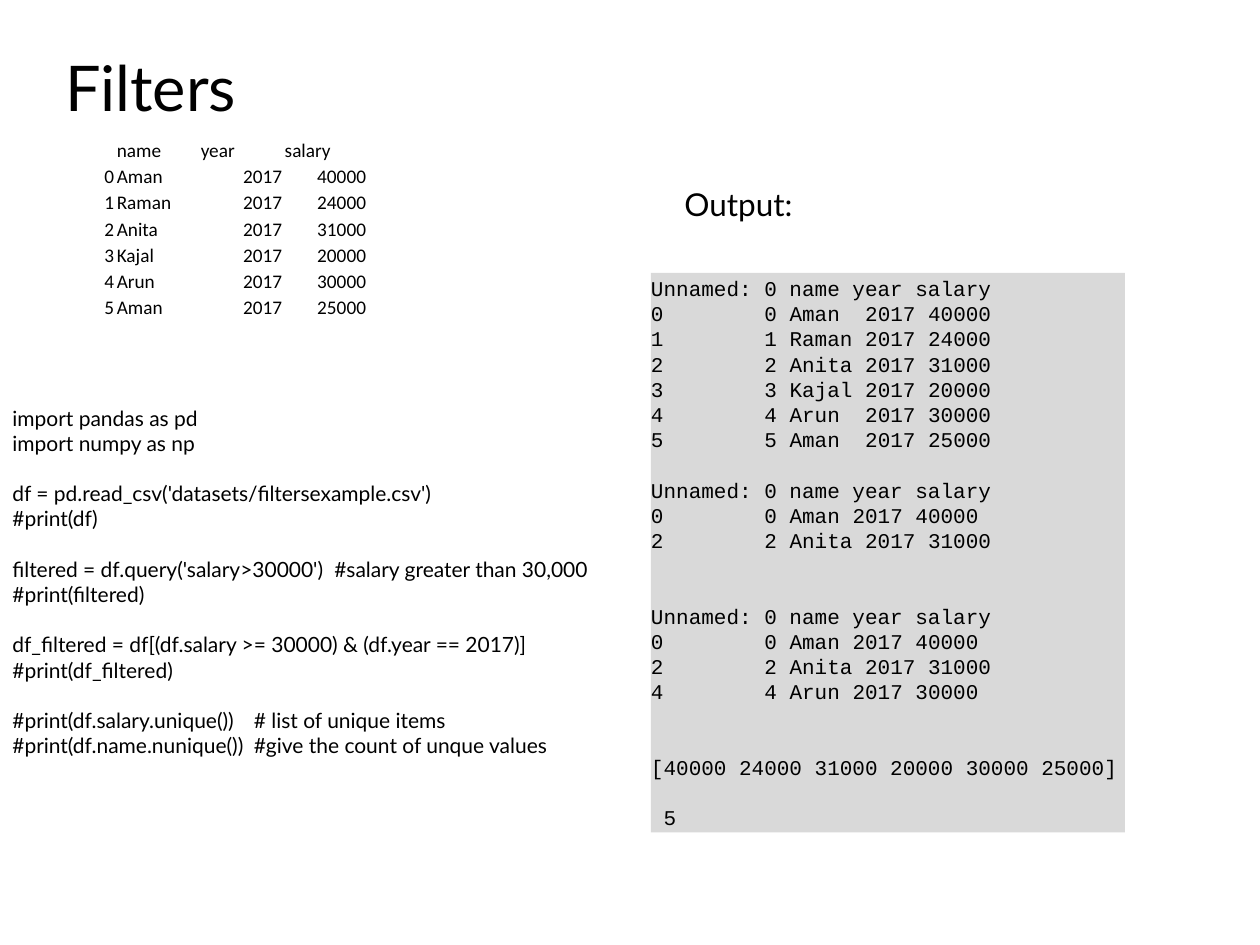
from lxml import etree
from pptx import Presentation
from pptx.dml.color import RGBColor
from pptx.enum.shapes import MSO_SHAPE
from pptx.enum.text import MSO_ANCHOR, MSO_AUTO_SIZE, PP_ALIGN
from pptx.oxml.ns import qn
from pptx.util import Pt

RECTANGLE = MSO_SHAPE.RECTANGLE
TOP, MIDDLE, BOTTOM = MSO_ANCHOR.TOP, MSO_ANCHOR.MIDDLE, MSO_ANCHOR.BOTTOM
LEFT, RIGHT = PP_ALIGN.LEFT, PP_ALIGN.RIGHT
NO_AUTOFIT = MSO_AUTO_SIZE.NONE

COLORS = {"text": "000000", "panel": "D9D9D9"}
LINE = 14.4

SALARY_ROWS = [
    ("", "name", "year", "salary", ""),
    ("0", "Aman", "2017", "40000", ""),
    ("1", "Raman", "2017", "24000", ""),
    ("2", "Anita", "2017", "31000", ""),
    ("3", "Kajal", "2017", "20000", ""),
    ("4", "Arun", "2017", "30000", ""),
    ("5", "Aman", "2017", "25000", ""),
]

# Each group: blank space above in lines, then its lines
CODE = [
    (0, ["import pandas as pd", "import numpy as np"]),
    (1, ["df = pd.read_csv('datasets/filtersexample.csv')", "#print(df)"]),
    (1, ["filtered = df.query('salary>30000')\t#salary greater than 30,000",
         "#print(filtered)"]),
    (1, ["df_filtered = df[(df.salary >= 30000) & (df.year == 2017)]",
         "#print(df_filtered)"]),
    (1, ["#print(df.salary.unique())\t# list of unique items",
         "#print(df.name.nunique())\t#give the count of unque values"]),
]
CODE_TABS = (138, 184)

OUTPUT_HEADER = "Unnamed: 0 name year salary"
OUTPUT = [
    (0, [OUTPUT_HEADER, "0\t0 Aman\t2017 40000", "1\t1 Raman\t2017 24000",
         "2\t2 Anita\t2017 31000", "3\t3 Kajal\t2017 20000",
         "4\t4 Arun\t2017 30000", "5\t5 Aman\t2017 25000"]),
    (1, [OUTPUT_HEADER, "0\t0 Aman 2017 40000", "2\t2 Anita 2017 31000"]),
    (2, [OUTPUT_HEADER, "0\t0 Aman 2017 40000", "2\t2 Anita 2017 31000",
         "4\t4 Arun 2017 30000"]),
    (2, ["[40000 24000 31000 20000 30000 25000]"]),
    (1, [" 5"]),
]
OUTPUT_TABS = (64.8, 122.4)


def add_span(para, text, font, size):
    span = para.add_run()
    span.text = text
    span.font.name = font
    span.font.size = Pt(size)
    span.font.color.rgb = RGBColor.from_string(COLORS["text"])


def set_tabs(para, stops):
    tab_list = etree.SubElement(para._p.get_or_add_pPr(), qn("a:tabLst"))
    for stop in stops:
        etree.SubElement(tab_list, qn("a:tab"), pos=str(Pt(stop)), algn="l")


def fill_groups(frame, groups, font, stops):
    """Write line groups, with the blank lines above each as paragraph spacing."""
    para = None
    for blank_lines, lines in groups:
        for index, line in enumerate(lines):
            para = frame.add_paragraph() if para else frame.paragraphs[0]
            para.alignment = LEFT
            para.line_spacing = Pt(LINE)
            para.space_before = Pt(0 if index else blank_lines * LINE)
            if "\t" in line:
                set_tabs(para, stops)
            add_span(para, line, font, 12)


def add_text_box(page, left, top, width, height):
    frame = page.shapes.add_textbox(Pt(left), Pt(top), Pt(width), Pt(height)).text_frame
    frame.word_wrap = True
    return frame


def add_title(page, text):
    title = page.shapes.title
    title.left, title.top, title.width, title.height = Pt(30), Pt(24), Pt(354), Pt(51)
    frame = title.text_frame
    frame.auto_size = NO_AUTOFIT
    frame.vertical_anchor = TOP
    para = frame.paragraphs[0]
    para.alignment = LEFT
    add_span(para, text, "Lato", 36)


def add_salary_table(page):
    row_count, column_count = len(SALARY_ROWS), len(SALARY_ROWS[0])
    table = page.shapes.add_table(row_count, column_count, Pt(18), Pt(78),
                                  Pt(48 * column_count), Pt(15 * row_count)).table
    table.first_row = table.horz_banding = False
    for row_index, values in enumerate(SALARY_ROWS):
        for column_index, value in enumerate(values):
            cell = table.cell(row_index, column_index)
            cell.fill.background()
            cell.vertical_anchor = BOTTOM
            cell.margin_left = cell.margin_right = cell.margin_top = Pt(0.75)
            cell.margin_bottom = 0
            para = cell.text_frame.paragraphs[0]
            if value:
                para.alignment = RIGHT if value.isdigit() else LEFT
                add_span(para, value, "Calibri", 11)
            else:
                etree.SubElement(para._p, qn("a:endParaRPr"), sz="1100")


def add_output_panel(page):
    panel = page.shapes.add_shape(RECTANGLE, Pt(372), Pt(156), Pt(270.8), Pt(319.7))
    panel.shadow.inherit = False
    panel.fill.solid()
    panel.fill.fore_color.rgb = RGBColor.from_string(COLORS["panel"])
    panel.line.fill.background()
    frame = panel.text_frame
    frame.word_wrap = True
    frame.vertical_anchor = MIDDLE
    frame.margin_left = frame.margin_right = frame.margin_top = frame.margin_bottom = 0
    fill_groups(frame, OUTPUT, "Courier New", OUTPUT_TABS)


def main():
    deck = Presentation()
    deck.slide_width, deck.slide_height = Pt(720), Pt(540)
    page = deck.slides.add_slide(deck.slide_layouts[5])
    add_title(page, "Filters")
    add_salary_table(page)
    fill_groups(add_text_box(page, 0, 228, 360, 211), CODE, "Lato", CODE_TABS)
    add_output_panel(page)
    label = add_text_box(page, 384, 102, 192, 30)
    add_span(label.paragraphs[0], "Output:", "Lato", 18)
    deck.save("out.pptx")


if __name__ == "__main__":
    main()
